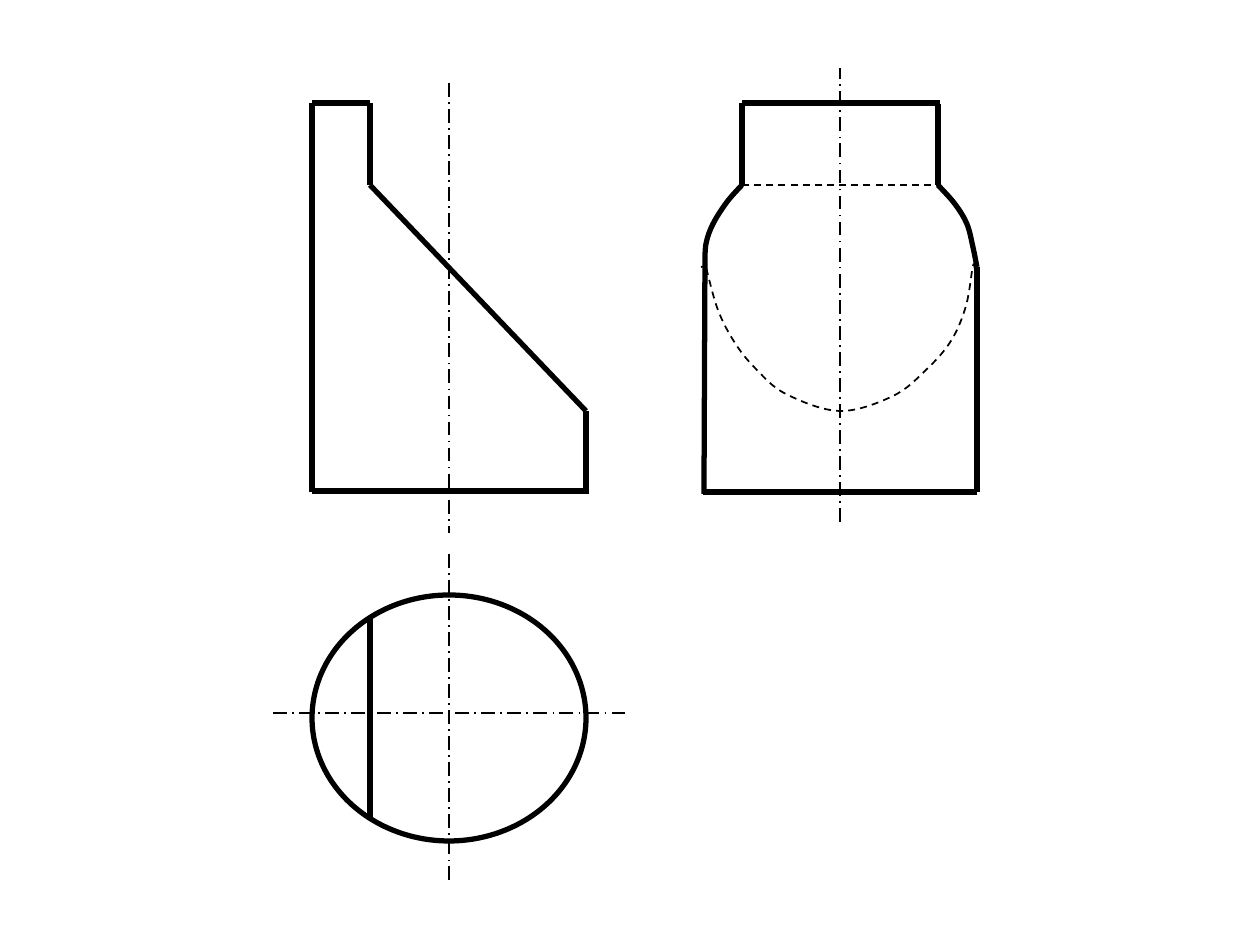
from pptx import Presentation, util as u
from pptx.dml.color import RGBColor
from pptx.enum import dml, shapes
from lxml import etree

PX = 914400 / 126  # EMU per px
A = "{http://schemas.openxmlformats.org/drawingml/2006/main}"
AXIS, HIDDEN = dml.MSO_LINE.LONG_DASH_DOT, dml.MSO_LINE.DASH


def pen(sp, width, dash=None):
    """Give a black line of this width, without shadow."""
    sp.line.color.rgb = RGBColor.from_string("000000")
    sp.line.width = u.Pt(width)
    if dash is not None:
        sp.line.dash_style = dash
    etree.SubElement(sp._element.spPr, A + "effectLst")


def bend(sp):
    """Turn the straight segments of an outline into a Catmull-Rom curve."""
    knots = [(int(pt.get("x")), int(pt.get("y")))
             for pt in sp._element.iter(A + "pt")]
    padded = [knots[0], *knots, knots[-1]]
    segments = list(sp._element.iter(A + "lnTo"))
    for seg, a, b, c, d in zip(segments, padded, padded[1:], padded[2:], padded[3:]):
        cubic = etree.Element(A + "cubicBezTo")
        first = [q + (r - p) / 6 for p, q, r in zip(a, b, c)]
        second = [r - (s - q) / 6 for q, r, s in zip(b, c, d)]
        for x, y in (first, second, c):
            etree.SubElement(cubic, A + "pt", x=str(round(x)), y=str(round(y)))
        seg.getparent().replace(seg, cubic)


prs = Presentation()
prs.slide_width, prs.slide_height = u.Inches(10), u.Inches(7.5)
slide = prs.slides.add_slide(prs.slide_layouts[6])
drawing = slide.shapes.add_group_shape().shapes

# Levels shared by the front and side views
TOP, SHOULDER, SIDE, LOW, BASE = 103, 185, 267, 411, 492
# Front view and plan
LEFT, CUT, CENTRE, RIGHT = 312, 370, 449, 586
# Side view
S_LEFT, S_NECK_L, S_CENTRE, S_NECK_R, S_RIGHT = 704, 742, 840, 938, 977
NECK_HALF = 99

circle = drawing.add_shape(shapes.MSO_SHAPE.OVAL, *(
    round(v * PX) for v in (LEFT, 595, RIGHT - LEFT, 246)))
circle.fill.background()
pen(circle, 3)

# Kind, points, line width, dash, rotation
LINE, OUTLINE, CURVE = "line", "outline", "curve"
strokes = [
    # Plan and front view
    (LINE, [(273, 713), (625, 713)], 1, AXIS, 0),
    (LINE, [(CENTRE, 554), (CENTRE, 882)], 1, AXIS, 0),
    (LINE, [(CENTRE, 83), (CENTRE, 533)], 1, AXIS, 0),
    (OUTLINE, [(LEFT, BASE - 1), (RIGHT + 1, BASE - 1)], 3, None, 0),
    (LINE, [(LEFT, BASE), (LEFT, TOP)], 3, None, 0),
    (LINE, [(LEFT, TOP), (CUT, TOP)], 3, None, 0),
    (OUTLINE, [(RIGHT, BASE + 2), (RIGHT, LOW)], 3, None, 0),
    (OUTLINE, [(CUT, 820), (CUT, 616)], 3, None, 0),
    (LINE, [(CUT, SHOULDER), (CUT, TOP)], 3, None, 0),
    (LINE, [(CUT, SHOULDER), (RIGHT, LOW)], 3, None, 0),
    # Side view
    (LINE, [(S_LEFT - 1, BASE), (S_RIGHT, BASE)], 2.25, None, 0),
    (OUTLINE, [(S_CENTRE, 522), (S_CENTRE, 68)], 1, AXIS, 0),
    (OUTLINE, [(S_LEFT, BASE + 2), (S_LEFT + 1, SIDE - 2)], 3, None, 0),
    (LINE, [(S_RIGHT, BASE), (S_RIGHT, SIDE)], 3, None, 0),
    (OUTLINE, [(S_CENTRE + 1, TOP + NECK_HALF), (S_CENTRE + 1, TOP - NECK_HALF)],
     3, None, 90),
    (LINE, [(S_NECK_L, TOP), (S_NECK_L, SHOULDER)], 3, None, 0),
    (OUTLINE, [(S_NECK_R, TOP + 1), (S_NECK_R, SHOULDER)], 3, None, 0),
    (LINE, [(S_NECK_L, SHOULDER), (S_NECK_R + 3, SHOULDER)], 1, HIDDEN, 0),
    (CURVE, [(701, 267), (706, 266), (706, 267), (718, 310), (735, 343),
             (756, 369), (786, 394), (S_CENTRE, LOW), (893, 396), (926, 370),
             (951, 341), (966, 306), (973, 266), (975, 270), (975, 267)],
     1, HIDDEN, 0),
    (CURVE, [(S_NECK_R, SHOULDER), (955, 204), (967, 224), (973, 247),
             (S_RIGHT, SIDE)], 3, None, 0),
    (CURVE, [(S_NECK_L, SHOULDER), (727, 202), (713, 224), (706, 244),
             (S_LEFT + 1, SIDE - 2)], 3, None, 0),
    (LINE, [(S_LEFT - 1, BASE), (S_RIGHT, BASE)], 3, None, 0),
]
for kind, points, width, dash, rotation in strokes:
    start, *rest = [(round(x * PX), round(y * PX)) for x, y in points]
    if kind == LINE:
        sp = drawing.add_connector(shapes.MSO_CONNECTOR.STRAIGHT, *start, *rest[0])
    else:
        builder = drawing.build_freeform(*start)
        builder.add_line_segments(rest, close=False)
        sp = builder.convert_to_shape()
        sp.fill.background()
        sp.rotation = rotation
    if kind == CURVE:
        bend(sp)
    pen(sp, width, dash)

prs.save("out.pptx")
